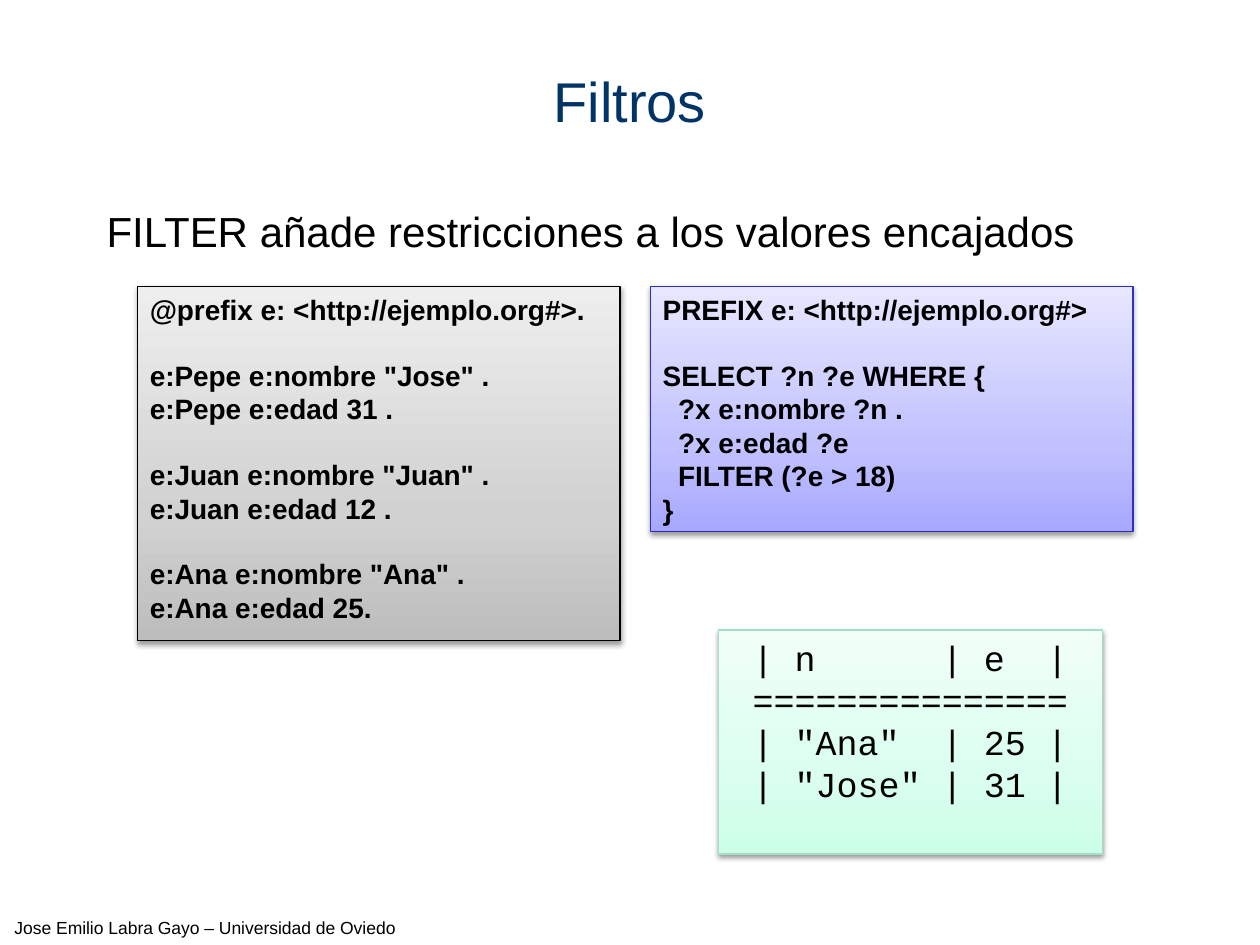
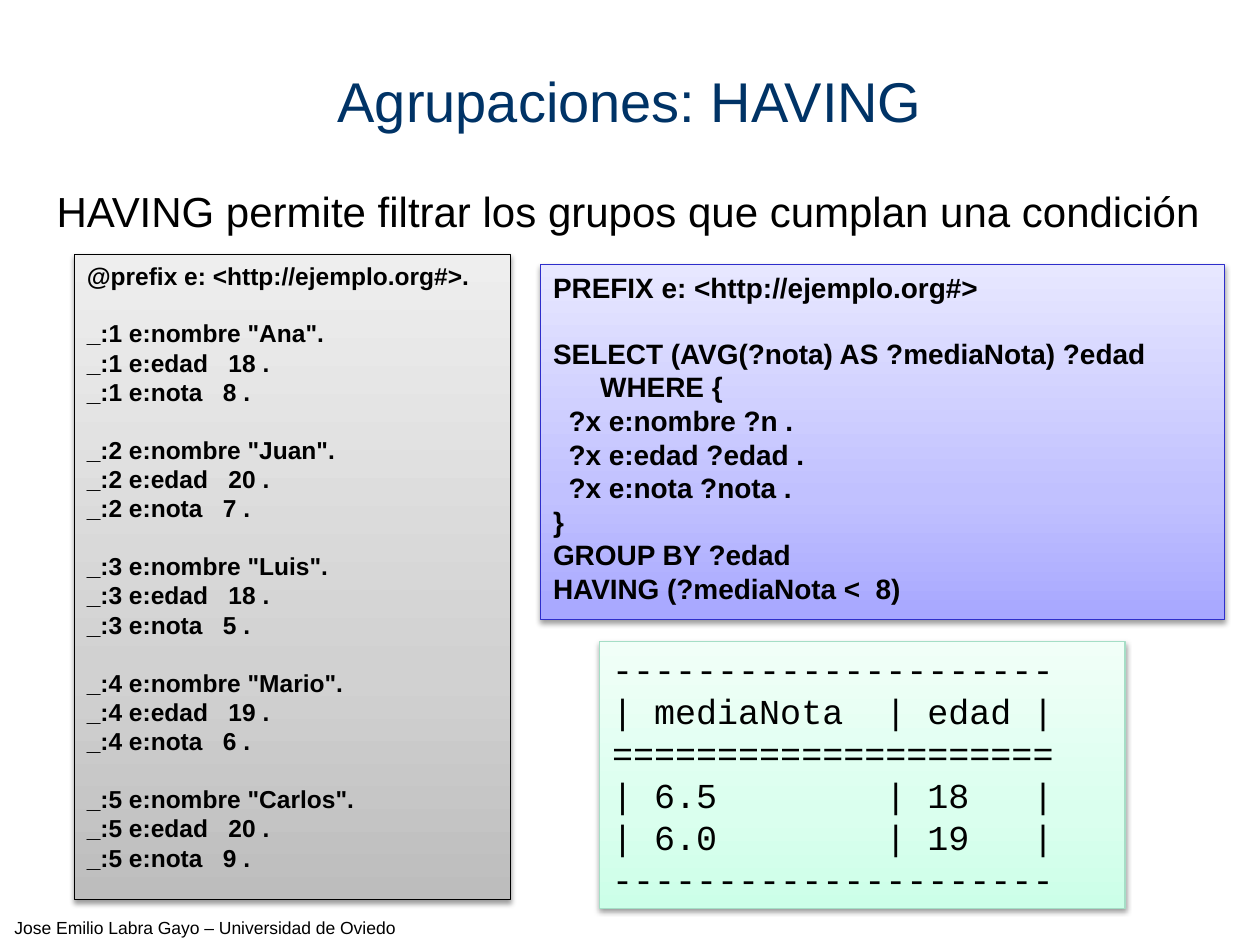
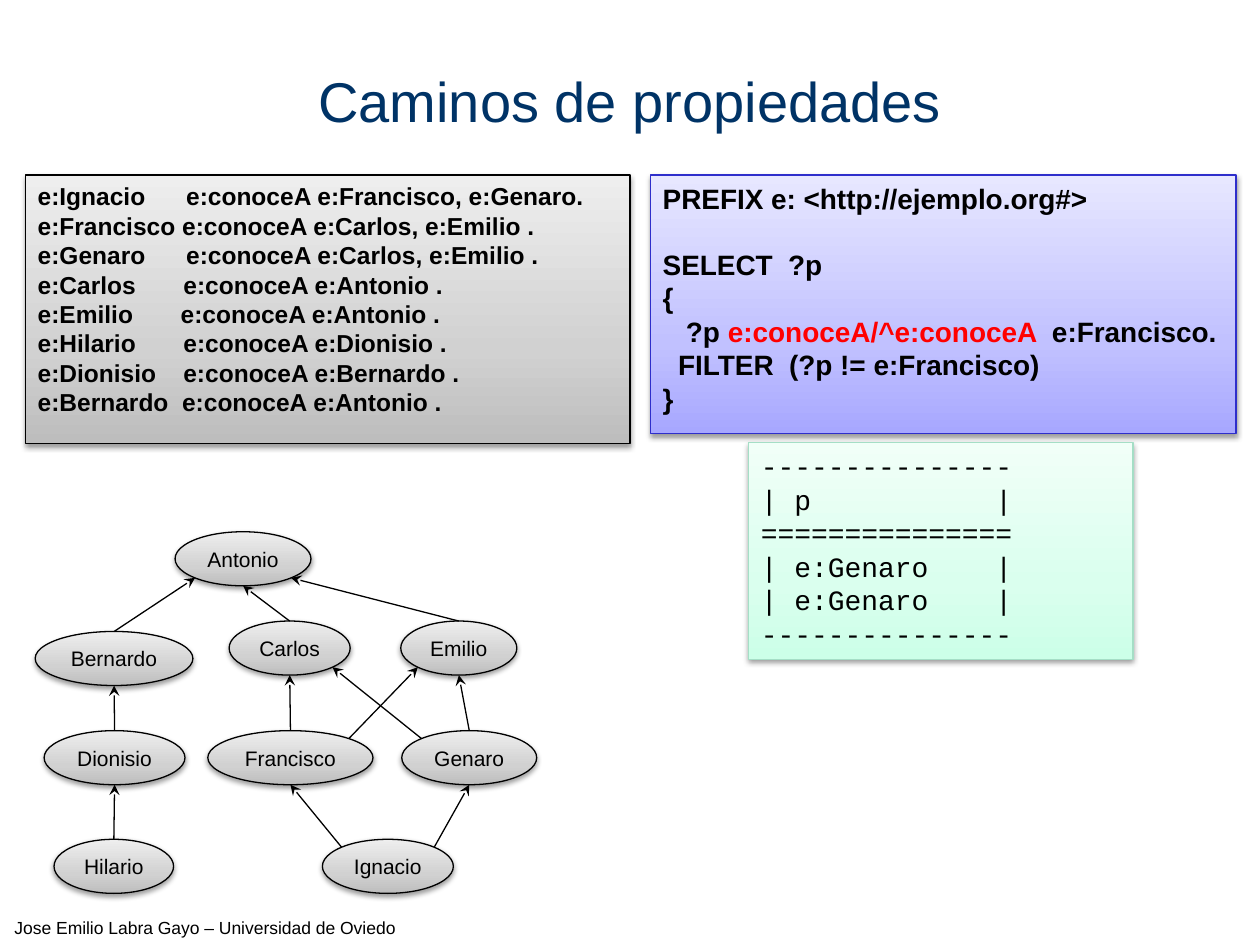
from math import sqrt

from lxml.etree import SubElement
from pptx import Presentation
from pptx.dml.color import RGBColor
from pptx.enum.shapes import MSO_CONNECTOR, MSO_SHAPE
from pptx.enum.text import MSO_ANCHOR, PP_ALIGN
from pptx.oxml.ns import qn
from pptx.util import Cm, Pt

# Shared colours and fonts
BLACK = RGBColor(0x00, 0x00, 0x00)
NAVY = RGBColor(0x00, 0x33, 0x66)
RED = RGBColor(0xFF, 0x00, 0x00)
BLUE_LINE = RGBColor(0x2E, 0x2E, 0xCB)
GREEN_LINE = RGBColor(0xA5, 0xDE, 0xC6)
SANS, MONO = "Arial", "Courier New"

# Panel looks: gradient from bottom to top, outline
STOPS = (0, 35, 100)
GRAY = ([RGBColor(0xBD, 0xBD, 0xBD), RGBColor(0xD1, 0xD1, 0xD1),
         RGBColor(0xEE, 0xEE, 0xEE)], BLACK)
BLUE = ([RGBColor(0xA7, 0xA7, 0xFF), RGBColor(0xC1, 0xC1, 0xFF),
         RGBColor(0xE7, 0xE7, 0xFF)], BLUE_LINE)
GREEN = ([RGBColor(0xCC, 0xFF, 0xE8), RGBColor(0xDA, 0xFF, 0xEE),
          RGBColor(0xF1, 0xFF, 0xF8)], GREEN_LINE)

FOOTER = "Jose Emilio Labra Gayo – Universidad de Oviedo"
LINE_HEIGHT = 1.15
INDENT = Cm(0.95)

# Sites on an ellipse, as fractions of its size from the centre
D = sqrt(2) / 4
SITES = {"top": (0, -0.5), "bottom": (0, 0.5),
         "top left": (-D, -D), "top right": (D, -D),
         "bottom left": (-D, D), "bottom right": (D, D)}

# Slide contents
FILTER_DATA = """@prefix e: <http://ejemplo.org#>.

e:Pepe e:nombre "Jose" .
e:Pepe e:edad 31 .

e:Juan e:nombre "Juan" .
e:Juan e:edad 12 .

e:Ana e:nombre "Ana" .
e:Ana e:edad 25."""

FILTER_QUERY = """PREFIX e: <http://ejemplo.org#>

SELECT ?n ?e WHERE {
  ?x e:nombre ?n .
  ?x e:edad ?e
  FILTER (?e > 18)
}"""

FILTER_RESULT = """| n      | e  |
===============
| "Ana"  | 25 |
| "Jose" | 31 |"""

STUDENTS = [("Ana", 18, 8), ("Juan", 20, 7), ("Luis", 18, 5),
            ("Mario", 19, 6), ("Carlos", 20, 9)]
HAVING_DATA = "@prefix e: <http://ejemplo.org#>." + "".join(
    f'\n\n_:{i} e:nombre "{name}".\n_:{i} e:edad   {age} .\n_:{i} e:nota   {grade} .'
    for i, (name, age, grade) in enumerate(STUDENTS, 1))

HAVING_QUERY = """PREFIX e: <http://ejemplo.org#>

SELECT (AVG(?nota) AS ?mediaNota) ?edad WHERE {
  ?x e:nombre ?n .
  ?x e:edad ?edad .
  ?x e:nota ?nota .
}
GROUP BY ?edad
HAVING (?mediaNota <  8)"""

HAVING_RESULT = """---------------------
| mediaNota  | edad |
=====================
| 6.5        | 18   |
| 6.0        | 19   |
---------------------"""

PATH_DATA = """e:Ignacio      e:conoceA e:Francisco, e:Genaro.
e:Francisco e:conoceA e:Carlos, e:Emilio .
e:Genaro      e:conoceA e:Carlos, e:Emilio .
e:Carlos       e:conoceA e:Antonio .
e:Emilio       e:conoceA e:Antonio .
e:Hilario       e:conoceA e:Dionisio .
e:Dionisio    e:conoceA e:Bernardo .
e:Bernardo  e:conoceA e:Antonio ."""

PATH_QUERY = """PREFIX e: <http://ejemplo.org#>

SELECT  ?p
{
   ?p e:conoceA/^e:conoceA  e:Francisco.
  FILTER  (?p != e:Francisco)
}"""
PATH_HIGHLIGHT = "e:conoceA/^e:conoceA "

PATH_RESULT = """---------------
| p           |
===============
| e:Genaro    |
| e:Genaro    |
---------------"""

# Graph of acquaintances: left, top, width
PEOPLE = {
    "Antonio": (3.53, 10.72, 2.74),
    "Bernardo": (0.71, 12.73, 3.18),
    "Carlos": (4.62, 12.52, 2.44),
    "Emilio": (8.08, 12.52, 2.34),
    "Dionisio": (0.89, 14.73, 2.84),
    "Francisco": (4.19, 14.73, 3.33),
    "Genaro": (8.1, 14.73, 2.72),
    "Hilario": (1.09, 16.92, 2.41),
    "Ignacio": (6.5, 16.92, 2.64),
}
KNOWS = [
    ("Bernardo", "top", "Antonio", "bottom left"),
    ("Carlos", "top", "Antonio", "bottom"),
    ("Emilio", "top", "Antonio", "bottom right"),
    ("Dionisio", "top", "Bernardo", "bottom"),
    ("Francisco", "top", "Carlos", "bottom"),
    ("Francisco", "top right", "Emilio", "bottom left"),
    ("Genaro", "top left", "Carlos", "bottom right"),
    ("Genaro", "top", "Emilio", "bottom"),
    ("Hilario", "top", "Dionisio", "bottom"),
    ("Ignacio", "top left", "Francisco", "bottom"),
    ("Ignacio", "top right", "Genaro", "bottom"),
]


def write(tf, text, size=16, font=SANS, color=BLACK, bold=False,
          align=PP_ALIGN.LEFT, hanging=False, highlight=None, wrap=True,
          anchor=MSO_ANCHOR.TOP):
    """Write one paragraph a line; an empty line becomes space before the next."""
    tf.word_wrap = wrap
    tf.vertical_anchor = anchor
    p, gap = None, 0
    for line in text.split("\n"):
        if not line:
            gap = size * LINE_HEIGHT
            continue
        p = tf.add_paragraph() if p is not None else tf.paragraphs[0]
        p.alignment = align
        p.space_before = Pt(gap)
        gap = 0
        if hanging:
            pPr = p._p.get_or_add_pPr()
            pPr.set("marL", str(INDENT))
            pPr.set("indent", str(-INDENT))
        parts = line.partition(highlight) if highlight else (line,)
        for part in filter(None, parts):
            r = p.add_run()
            r.text = part
            r.font.name = font
            r.font.size = Pt(size)
            r.font.bold = bold
            r.font.color.rgb = RED if part == highlight else color


def add_text(s, box, text, **fmt):
    tb = s.shapes.add_textbox(*map(Cm, box))
    write(tb.text_frame, text, **fmt)


def add_titled_slide(prs, title):
    s = prs.slides.add_slide(prs.slide_layouts[5])
    sp = s.shapes.title
    sp.left, sp.top, sp.width, sp.height = map(Cm, (0, 0.43, 25.4, 3.18))
    write(sp.text_frame, title, size=32, color=NAVY,
          align=PP_ALIGN.CENTER, anchor=MSO_ANCHOR.MIDDLE)
    add_text(s, (0, 18.36, 8.26, 0.69), FOOTER, size=10,
             align=PP_ALIGN.CENTER, wrap=False)
    return s


def add_panel(s, box, text, look, shape=MSO_SHAPE.RECTANGLE, **fmt):
    """Gradient shape with a soft shadow and text."""
    colors, outline = look
    sp = s.shapes.add_shape(shape, *map(Cm, box))
    sp.line.color.rgb = outline
    sp.line.width = Pt(0.75)
    # Three-stop gradient
    sp.fill.gradient()
    sp.fill.gradient_angle = 90
    spPr = sp._element.spPr
    stops = spPr.find(qn("a:gradFill")).find(qn("a:gsLst"))
    for old in list(stops):
        stops.remove(old)
    for pos, color in zip(STOPS, colors):
        gs = SubElement(stops, qn("a:gs"), pos=str(pos * 1000))
        SubElement(gs, qn("a:srgbClr"), val=str(color))
    # Shadow below
    sp.shadow.inherit = False
    shadow = SubElement(spPr.find(qn("a:effectLst")), qn("a:outerShdw"),
                        blurRad=str(Pt(3.1)), dist=str(Pt(1.6)),
                        dir="5400000", rotWithShape="0")
    shade = SubElement(shadow, qn("a:srgbClr"), val=str(BLACK))
    SubElement(shade, qn("a:alpha"), val="38000")
    write(sp.text_frame, text, **fmt)
    return sp


def add_code(s, box, text, look, size=16, highlight=None):
    add_panel(s, box, text, look, size=size, bold=True, hanging=True,
              highlight=highlight)


def add_result(s, box, text, size=20, align=PP_ALIGN.LEFT):
    add_panel(s, box, text, GREEN, size=size, font=MONO, align=align)


def site_point(sp, site):
    dx, dy = SITES[site]
    return (round(sp.left + sp.width * (0.5 + dx)),
            round(sp.top + sp.height * (0.5 + dy)))


def add_arrow(s, start, start_site, end, end_site):
    c = s.shapes.add_connector(MSO_CONNECTOR.STRAIGHT,
                               *site_point(start, start_site),
                               *site_point(end, end_site))
    if start_site == "top":
        c.begin_connect(start, 0)
    c.line.color.rgb = BLACK
    c.line.width = Pt(0.75)
    spPr = c._element.spPr
    SubElement(spPr.find(qn("a:ln")), qn("a:tailEnd"), type="stealth")
    SubElement(spPr, qn("a:effectLst"))


def add_graph(s):
    nodes = {name: add_panel(s, (x, y, w, 1.09), name, GRAY, MSO_SHAPE.OVAL,
                             size=12, align=PP_ALIGN.CENTER, wrap=False,
                             anchor=MSO_ANCHOR.MIDDLE)
             for name, (x, y, w) in PEOPLE.items()}
    for start, start_site, end, end_site in KNOWS:
        add_arrow(s, nodes[start], start_site, nodes[end], end_site)


def main():
    prs = Presentation()
    prs.slide_width, prs.slide_height = Cm(25.4), Cm(19.05)

    # Filters
    s = add_titled_slide(prs, "Filtros")
    add_text(s, (1.9, 4.02, 21.6, 1.27),
             "FILTER añade restricciones a los valores encajados",
             size=24, hanging=True)
    add_code(s, (13.11, 5.77, 9.73, 4.95), FILTER_QUERY, BLUE)
    add_code(s, (2.77, 5.77, 9.73, 7.14), FILTER_DATA, GRAY)
    add_result(s, (14.48, 12.7, 7.75, 4.52), FILTER_RESULT,
               align=PP_ALIGN.CENTER)

    # Groups
    s = add_titled_slide(prs, "Agrupaciones: HAVING")
    add_text(s, (0.89, 3.61, 24, 1.27),
             "HAVING permite filtrar los grupos que cumplan una condición",
             size=24, hanging=True)
    add_code(s, (1.5, 5.13, 8.79, 13), HAVING_DATA, GRAY, size=14)
    add_code(s, (10.9, 5.33, 13.79, 7.16), HAVING_QUERY, BLUE)
    add_result(s, (12.09, 12.93, 10.59, 5.38), HAVING_RESULT)

    # Property paths
    s = add_titled_slide(prs, "Caminos de propiedades")
    add_code(s, (0.51, 3.53, 12.19, 5.41), PATH_DATA, GRAY, size=14)
    add_code(s, (13.11, 3.53, 11.81, 5.21), PATH_QUERY, BLUE,
             highlight=PATH_HIGHLIGHT)
    add_result(s, (15.09, 8.92, 7.75, 4.37), PATH_RESULT, size=16)
    add_graph(s)

    prs.save("out.pptx")


if __name__ == "__main__":
    main()
